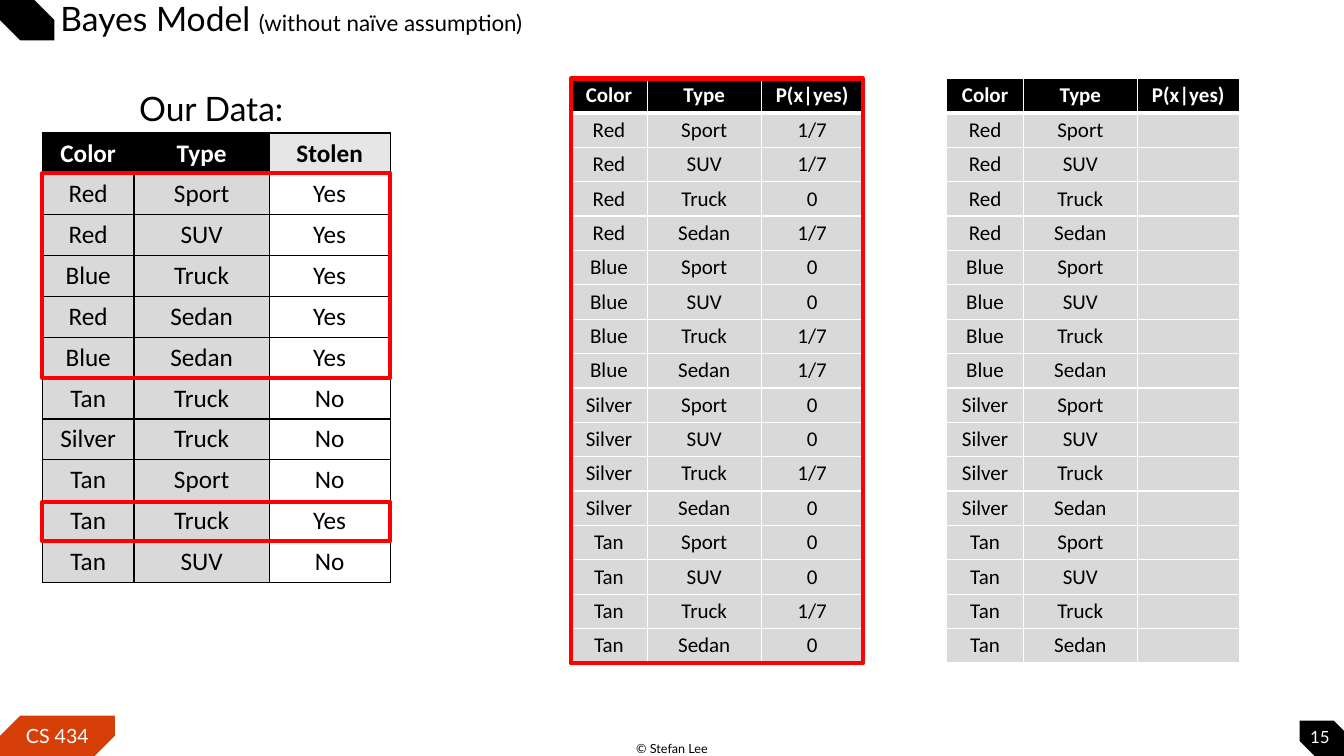
import itertools
import lxml.etree
import pptx
import pptx.dml.color
import pptx.enum.shapes
import pptx.enum.text
import pptx.oxml.ns
import pptx.util

PX = 9144
CENTER = pptx.enum.text.PP_ALIGN.CENTER
LEFT = pptx.enum.text.PP_ALIGN.LEFT
MIDDLE = pptx.enum.text.MSO_ANCHOR.MIDDLE
TOP = pptx.enum.text.MSO_ANCHOR.TOP
SHAPE = pptx.enum.shapes.MSO_SHAPE


def rgb(value):
    return pptx.dml.color.RGBColor.from_string(value)


def write(p, text, size, color="000000", name="Lato", bold=False):
    r = p.add_run()
    r.text = text
    for key, value in {"size": pptx.util.Pt(size), "name": name, "bold": bold}.items():
        setattr(r.font, key, value)
    r.font.color.rgb = rgb(color)


prs = pptx.Presentation()
prs.slide_width = 1333 * PX
prs.slide_height = 750 * PX
slide = prs.slides.add_slide(prs.slide_layouts[6])

for x, y, w, h, fill, flip, label in [
    (1289, 715, 54, 40, "000000", True, ""),
    (0, 710, 114, 40, "D73F09", False, "CS 434"),
    (0, 0, 54, 40, "000000", True, ""),
]:
    s = slide.shapes.add_shape(SHAPE.SNIP_2_DIAG_RECTANGLE, x * PX, y * PX, w * PX, h * PX)
    s.shadow.inherit = False
    s.adjustments[0] = 0.5
    s.adjustments[1] = 0
    s.fill.solid()
    s.fill.fore_color.rgb = rgb(fill)
    s.line.fill.background()
    if flip:
        s._element.spPr.xfrm.set("flipH", "1")
    if label:
        tf = s.text_frame
        tf.vertical_anchor = MIDDLE
        tf.paragraphs[0].alignment = CENTER
        write(tf.paragraphs[0], label, 14, "FFFFFF")

for x, y, w, h, margins, anchor, align, spacing, color, runs in [
    (613, 730, 107, 25, (10, 5, 10, 5), TOP, CENTER, 1.0, "000000", [("© Stefan Lee", 9)]),
    (0, 1, 1132, 39, (60, 5, 5, 5), MIDDLE, LEFT, 0.9, "000000",
     [("Bayes Model ", 24), ("(without naïve assumption)", 16)]),
    (1289, 715, 40, 31, (0, 0, 0, 0), MIDDLE, CENTER, 1.0, "FFFFFF", [("15", 12)]),
    (80, 82, 259, 50, (10, 5, 10, 5), TOP, CENTER, 1.0, "000000", [("Our Data:", 24)]),
]:
    tf = slide.shapes.add_textbox(x * PX, y * PX, w * PX, h * PX).text_frame
    tf.word_wrap = True
    tf.vertical_anchor = anchor
    for side, margin in zip(("left", "top", "right", "bottom"), margins):
        setattr(tf, f"margin_{side}", margin * PX)
    p = tf.paragraphs[0]
    p.alignment = align
    p.line_spacing = spacing
    for text, size in runs:
        write(p, text, size, color)

data = [line.split() for line in [
    "Color Type Stolen",
    "Red Sport Yes",
    "Red SUV Yes",
    "Blue Truck Yes",
    "Red Sedan Yes",
    "Blue Sedan Yes",
    "Tan Truck No",
    "Silver Truck No",
    "Tan Sport No",
    "Tan Truck Yes",
    "Tan SUV No",
]]
combos = list(itertools.product(["Red", "Blue", "Silver", "Tan"], ["Sport", "SUV", "Truck", "Sedan"]))
probs = "1/7 1/7 0 1/7 0 0 1/7 1/7 0 0 1/7 0 0 0 1/7 0".split()
head = ["Color", "Type", "P(x|yes)"]
filled = [head] + [[*combo, prob] for combo, prob in zip(combos, probs)]
empty = [head] + [[*combo, ""] for combo in combos]

data_look = {"widths": (91, 134, 120), "height": 446, "size": 18, "margins": (10, 5),
             "border": "000000", "rule": 1, "head": ("000000", "E7E6E6"), "body": ("D9D9D9", "FFFFFF"),
             "last": "000000"}
prob_look = {"widths": (76, 113, 101), "height": 580, "size": 15, "margins": (8, 4),
             "border": "FFFFFF", "rule": 3, "head": ("000000", "000000"), "body": ("D9D9D9", "D9D9D9"),
             "last": "FFFFFF"}

for x, y, rows, look in [(42, 132, data, data_look), (566, 78, filled, prob_look), (939, 78, empty, prob_look)]:
    table = slide.shapes.add_table(len(rows), 3, x * PX, y * PX, sum(look["widths"]) * PX, look["height"] * PX).table
    table.horz_banding = False
    for column, width in zip(table.columns, look["widths"]):
        column.width = width * PX
    for i, row in enumerate(rows):
        table.rows[i].height = look["height"] * PX // len(rows)
        for j, text in enumerate(row):
            cell = table.cell(i, j)
            cell.vertical_anchor = MIDDLE
            cell.margin_left = cell.margin_right = look["margins"][0] * PX
            cell.margin_top = cell.margin_bottom = look["margins"][1] * PX
            tcPr = cell._tc.get_or_add_tcPr()
            for side in "LRTB":
                thick = (i, side) in [(0, "B"), (1, "T")]
                width = pptx.util.Pt(look["rule"] if thick else 1)
                ln = lxml.etree.SubElement(tcPr, pptx.oxml.ns.qn(f"a:ln{side}"), w=str(width))
                solid = lxml.etree.SubElement(ln, pptx.oxml.ns.qn("a:solidFill"))
                lxml.etree.SubElement(solid, pptx.oxml.ns.qn("a:srgbClr"), val=look["border"])
            cell.fill.solid()
            cell.fill.fore_color.rgb = rgb(look["head" if i == 0 else "body"][j == 2])
            p = cell.text_frame.paragraphs[0]
            p.alignment = CENTER
            if text:
                color = "000000" if i else look["last"] if j == 2 else "FFFFFF"
                write(p, text, look["size"], color, "Calibri", i == 0)
            else:
                end = lxml.etree.SubElement(p._p, pptx.oxml.ns.qn("a:endParaRPr"))
                end.set("sz", str(look["size"] * 100))

for x, y, w, h in [(42, 172, 345, 203), (42, 498, 345, 39), (566, 78, 290, 580)]:
    s = slide.shapes.add_shape(SHAPE.RECTANGLE, x * PX, y * PX, w * PX, h * PX)
    s.shadow.inherit = False
    s.fill.background()
    s.line.color.rgb = rgb("FF0000")
    s.line.width = pptx.util.Pt(3)

prs.save("out.pptx")
